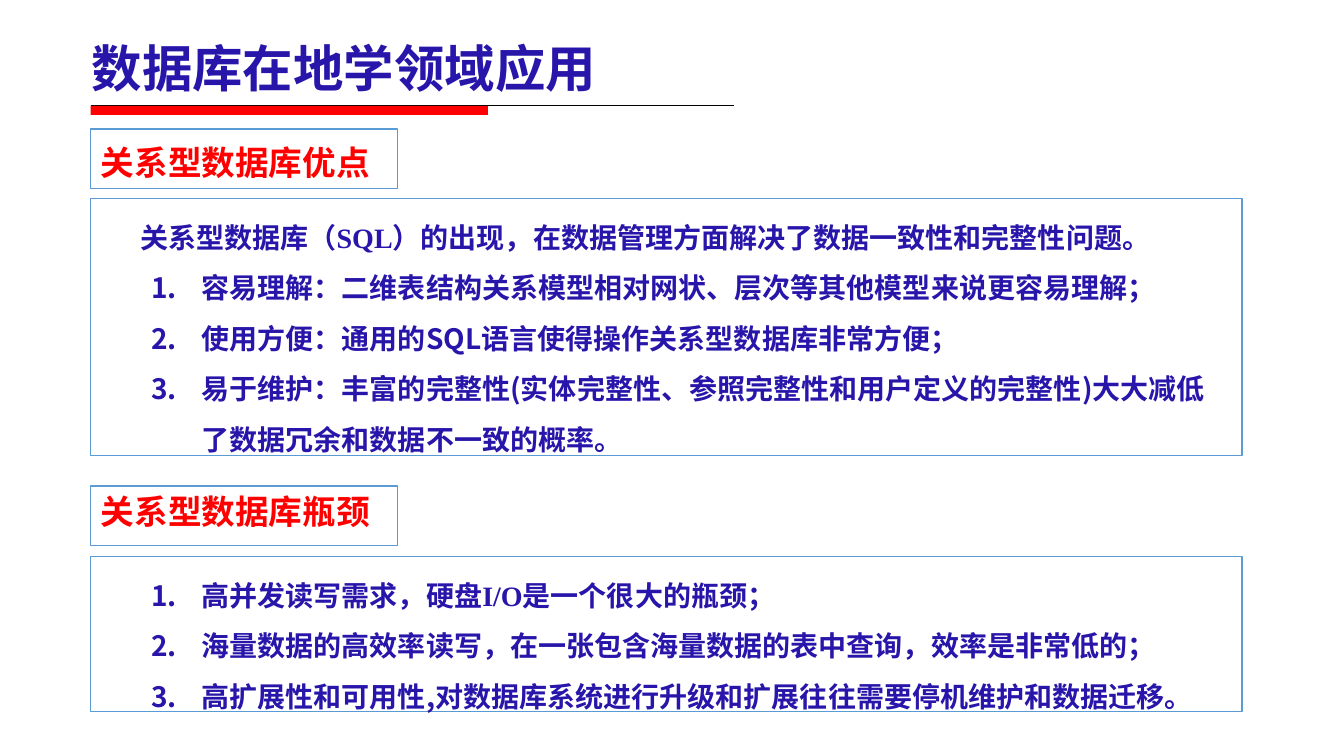
from dataclasses import dataclass

from lxml import etree
from pptx import Presentation
from pptx import util as u
from pptx.dml.color import RGBColor
from pptx.enum import shapes, text
from pptx.oxml.ns import qn

PX = 9144  # 100 px to the inch
SANS, SERIF = "Noto Sans CJK SC", "Times New Roman"
INDIGO, RED, BLUE, WHITE, BLACK = "2816AA", "FF0000", "5B9BD5", "FFFFFF", "000000"
COMPARISON_LAYOUT = 4
LEFT = 90
FRAME_FORMAT = {
    "word_wrap": True,
    "auto_size": text.MSO_AUTO_SIZE.NONE,
    "margin_left": 10 * PX,
    "margin_right": 10 * PX,
    "margin_top": 5 * PX,
    "margin_bottom": 5 * PX,
}


@dataclass
class Line:
    """A paragraph; each piece of it is a text and its Latin font."""
    pieces: list[tuple[str, str]]
    numbered: bool = False
    first_indent: int = 0
    spacing: float = 1.5
    after: int = 0


@dataclass
class Block:
    placeholder: int
    top: int
    width: int
    height: int
    size: int
    colour: str
    lines: list[Line]
    left: int = LEFT
    boxed: bool = True
    anchor: text.MSO_ANCHOR = text.MSO_ANCHOR.TOP


def rgb(colour: str) -> RGBColor:
    return RGBColor.from_string(colour)


def item(*pieces: tuple[str, str]) -> Line:
    return Line(list(pieces), numbered=True)


def write_line(paragraph, line: Line, size: int, colour: str) -> None:
    props = paragraph._p.get_or_add_pPr()
    margin, indent = (100, -50) if line.numbered else (0, line.first_indent)
    props.set("marL", str(margin * PX))
    props.set("indent", str(indent * PX))
    if line.numbered:
        etree.SubElement(props, qn("a:buFont")).set("typeface", SANS)
        etree.SubElement(props, qn("a:buAutoNum")).set("type", "arabicPeriod")
    else:
        etree.SubElement(props, qn("a:buNone"))
    paragraph_format = {
        "level": int(line.numbered),
        "alignment": text.PP_ALIGN.LEFT,
        "line_spacing": line.spacing,
        "space_before": u.Pt(0),
        "space_after": u.Pt(line.after),
    }
    for name, value in paragraph_format.items():
        setattr(paragraph, name, value)
    for words, latin in line.pieces:
        run = paragraph.add_run()
        run.text = words
        for name, value in {"size": u.Pt(size), "bold": True, "name": latin}.items():
            setattr(run.font, name, value)
        run.font.color.rgb = rgb(colour)
        east_asian = etree.Element(qn("a:ea"))
        east_asian.set("typeface", SANS)
        run.font._element.find(qn("a:latin")).addnext(east_asian)


def fill_block(slide, block: Block) -> None:
    """Move the block's placeholder into place and write its lines."""
    holder = slide.placeholders[block.placeholder]
    for name in ("left", "top", "width", "height"):
        setattr(holder, name, getattr(block, name) * PX)
    if block.boxed:
        holder.fill.solid()
        holder.fill.fore_color.rgb = rgb(WHITE)
        holder.line.color.rgb = rgb(BLUE)
        holder.line.width = u.Pt(1)
    frame = holder.text_frame
    for name, value in FRAME_FORMAT.items():
        setattr(frame, name, value)
    frame.vertical_anchor = block.anchor
    for number, line in enumerate(block.lines):
        paragraph = frame.add_paragraph() if number else frame.paragraphs[0]
        write_line(paragraph, line, block.size, block.colour)


def draw_underline(slide, top: int) -> None:
    rule = slide.shapes.add_connector(
        shapes.MSO_CONNECTOR.STRAIGHT, LEFT * PX, top * PX, 728 * PX, top * PX)
    rule.line.color.rgb = rgb(BLACK)
    rule.line.width = u.Pt(0.75)
    etree.SubElement(rule._element.spPr, qn("a:effectLst"))
    bar = slide.shapes.add_shape(
        shapes.MSO_SHAPE.RECTANGLE, LEFT * PX, top * PX, 394 * PX, 9 * PX)
    bar.shadow.inherit = False
    bar.fill.solid()
    bar.fill.fore_color.rgb = rgb(RED)
    bar.line.fill.background()


def heading(placeholder: int, top: int, words: str, spacing: float, after: int) -> Block:
    return Block(placeholder, top, 304, 59, 24, RED,
                 [Line([(words, SANS)], spacing=spacing, after=after)])


def points(placeholder: int, top: int, height: int, lines: list[Line]) -> Block:
    return Block(placeholder, top, 1142, height, 20, INDIGO, lines)


BLOCKS = [
    Block(0, 32, 675, 64, 36, INDIGO,
          [Line([("数据库在地学领域应用", SANS)], spacing=1.1, after=6)],
          left=81, boxed=False, anchor=text.MSO_ANCHOR.MIDDLE),
    heading(1, 128, "关系型数据库优点", 1.2, 6),
    points(2, 197, 255, [
        Line([("关系型数据库", SANS), ("（SQL）", SERIF),
              ("的出现，在数据管理方面解决了数据一致性和完整性问题。", SANS)], first_indent=39),
        item(("容易理解：二维表结构关系模型相对网状、层次等其他模型来说更容易理解；", SANS)),
        item(("使用方便：通用的SQL语言使得操作关系型数据库非常方便；", SANS)),
        item(("易于维护：丰富的完整性(实体完整性、参照完整性和用户定义的完整性)"
              "大大减低了数据冗余和数据不一致的概率。", SANS)),
    ]),
    heading(3, 482, "关系型数据库瓶颈", 1.0, 0),
    points(4, 552, 154, [
        item(("高并发读写需求，硬盘", SANS), ("I/O", SERIF), ("是一个很大的瓶颈；", SANS)),
        item(("海量数据的高效率读写，在一张包含海量数据的表中查询，效率是非常低的；", SANS)),
        item(("高扩展性和可用性,对数据库系统进行升级和扩展往往需要停机维护和数据迁移。", SANS)),
    ]),
]


def main() -> None:
    deck = Presentation()
    deck.slide_width, deck.slide_height = 1333 * PX, 750 * PX
    slide = deck.slides.add_slide(deck.slide_layouts[COMPARISON_LAYOUT])
    for block in BLOCKS:
        fill_block(slide, block)
    draw_underline(slide, 105)
    deck.save("out.pptx")


if __name__ == "__main__":
    main()
